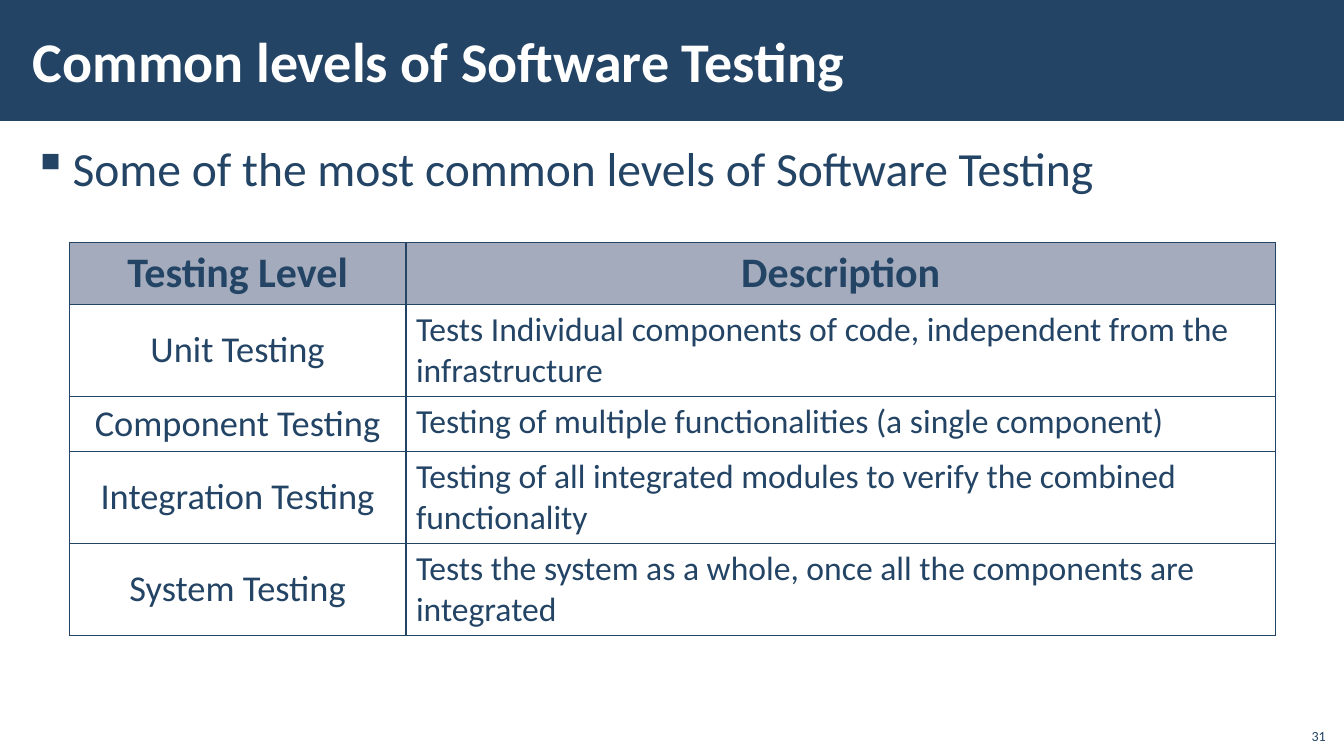
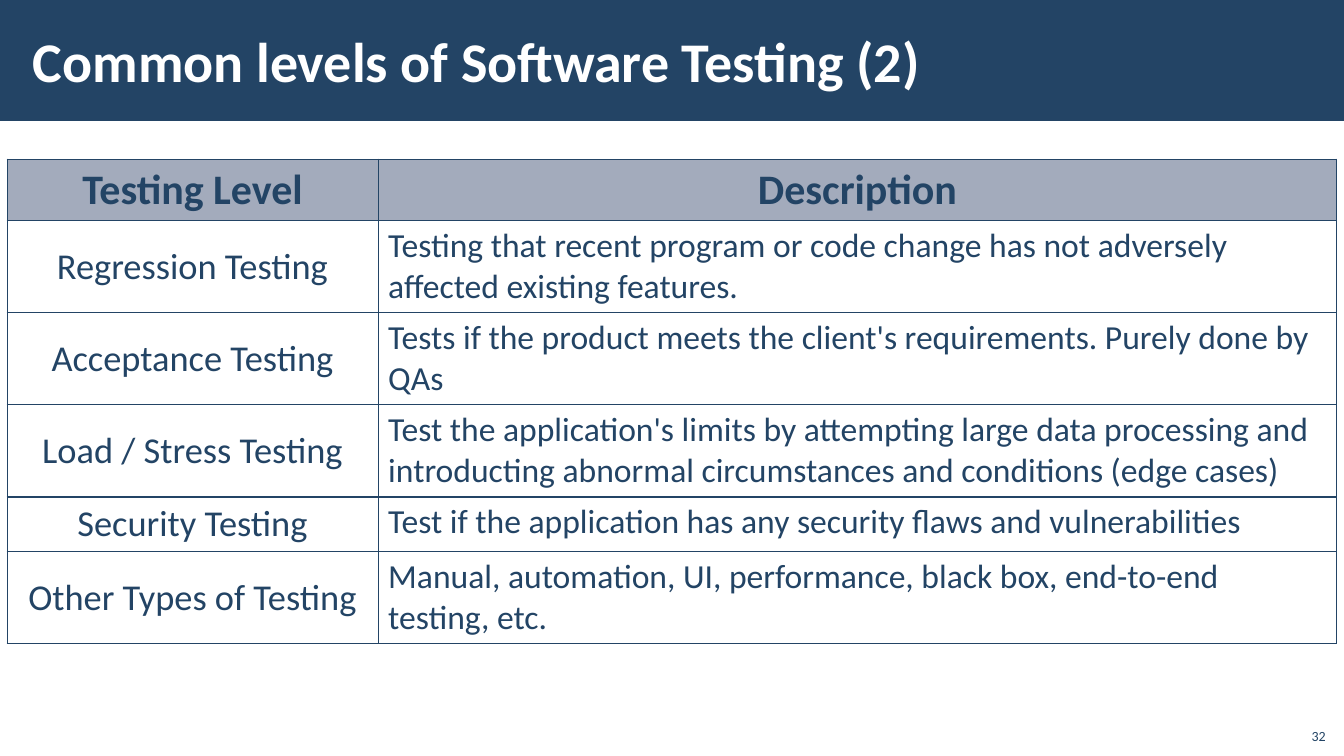
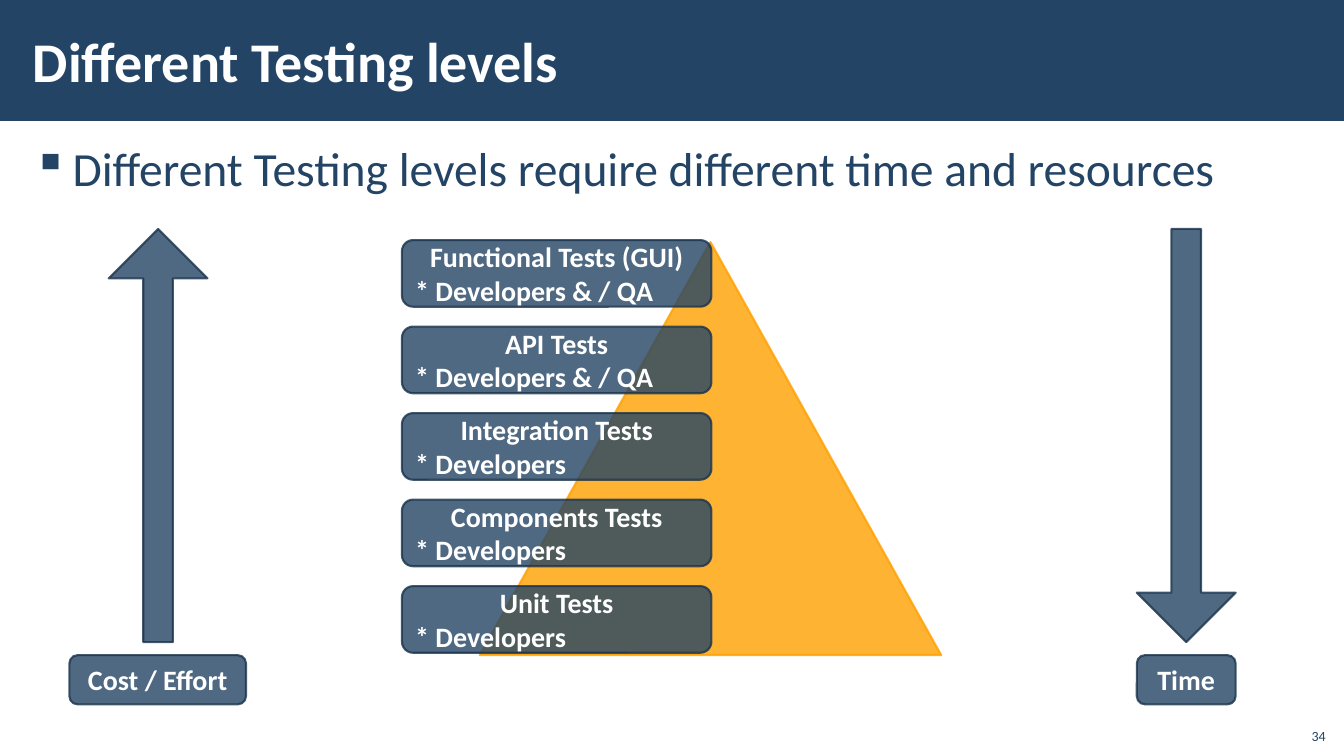
from dataclasses import dataclass

from lxml import etree
from pptx import Presentation
from pptx.dml.color import RGBColor
from pptx.enum import shapes as es
from pptx.enum import text as et
from pptx.oxml.ns import qn
from pptx.util import Cm, Pt

NAVY = RGBColor(0x23, 0x44, 0x65)
DARK_NAVY = RGBColor(0x1A, 0x33, 0x4C)
HEADER_GREY = RGBColor(0xA3, 0xAB, 0xBC)
AMBER = RGBColor(0xFF, 0xA0, 0x00)
WHITE = RGBColor(0xFF, 0xFF, 0xFF)

FONT = "Calibri"
SLIDE_WIDTH, SLIDE_HEIGHT = 33.87, 19.05
HEADER_HEIGHT = 1.55
ROW_HEIGHTS = {1: 1.37, 2: 2.32}
OPACITY = 80

LEFT, CENTER, RIGHT = et.PP_ALIGN.LEFT, et.PP_ALIGN.CENTER, et.PP_ALIGN.RIGHT


@dataclass(frozen=True)
class Box:
    """Place and size in centimetres."""
    left: float
    top: float
    width: float
    height: float

    def lengths(self) -> tuple:
        return Cm(self.left), Cm(self.top), Cm(self.width), Cm(self.height)


@dataclass(frozen=True)
class Style:
    size: int
    color: RGBColor = NAVY
    bold: bool = False


@dataclass(frozen=True)
class Level:
    name: str
    description: str
    lines: int = 2


@dataclass(frozen=True)
class Stage:
    name: str
    owners: str


@dataclass(frozen=True)
class Scale:
    """An arrow with the label that stands below it."""
    label: str
    arrow: es.MSO_SHAPE
    arrow_left: float
    label_left: float
    label_width: float


TITLE_STYLE = Style(40, WHITE, True)
BULLET_STYLE = Style(34)
HEADER_STYLE = Style(30, bold=True)
LEVEL_STYLE = Style(26)
DESCRIPTION_STYLE = Style(24)
LABEL_STYLE = Style(20, WHITE, True)
NUMBER_STYLE = Style(10)

MAIN_LEVELS = [
    Level("Unit Testing",
          "Tests Individual components of code, independent from the infrastructure"),
    Level("Component Testing",
          "Testing of multiple functionalities (a single component)", 1),
    Level("Integration Testing",
          "Testing of all integrated modules to verify the combined functionality"),
    Level("System Testing",
          "Tests the system as a whole, once all the components are integrated"),
]
FURTHER_LEVELS = [
    Level("Regression Testing",
          "Testing that recent program or code change has not adversely "
          "affected existing features."),
    Level("Acceptance Testing",
          "Tests if the product meets the client's requirements. Purely done by QAs"),
    Level("Load / Stress Testing",
          "Test the application's limits by attempting large data processing and\n"
          "introducting abnormal circumstances and conditions (edge cases)"),
    Level("Security Testing",
          "Test if the application has any security flaws and vulnerabilities", 1),
    Level("Other Types of Testing",
          "Manual, automation, UI, performance, black box, end-to-end testing, etc."),
]
STAGES = [
    Stage("Functional Tests (GUI)", "* Developers & / QA"),
    Stage("API Tests", "* Developers & / QA"),
    Stage("Integration Tests", "* Developers"),
    Stage("Components Tests", "* Developers"),
    Stage("Unit Tests", "* Developers"),
]
SCALES = [
    Scale("Cost / Effort", es.MSO_SHAPE.UP_ARROW, 2.74, 1.75, 4.45),
    Scale("Time", es.MSO_SHAPE.DOWN_ARROW, 28.65, 28.65, 2.49),
]


def write(paragraph, wording: str, style: Style, align=LEFT) -> None:
    paragraph.alignment = align
    for index, line in enumerate(wording.split("\n")):
        if index:
            paragraph.add_line_break()
        run = paragraph.add_run()
        run.text = line
        run.font.name = FONT
        run.font.size = Pt(style.size)
        run.font.bold = style.bold
        run.font.color.rgb = style.color


def set_frame(frame, anchor) -> None:
    frame.word_wrap = True
    frame.auto_size = et.MSO_AUTO_SIZE.NONE
    frame.vertical_anchor = anchor


def set_wide_margins(frame) -> None:
    frame.margin_left = frame.margin_right = Cm(0.3)
    frame.margin_top = frame.margin_bottom = Cm(0.1)


def add_shape(shapes, kind, box: Box, fill: RGBColor, line=None):
    """Add a preset shape; one with an outline is see-through."""
    shape = shapes.add_shape(kind, *box.lengths())
    shape.shadow.inherit = False
    shape.fill.solid()
    shape.fill.fore_color.rgb = fill
    if line is None:
        shape.line.fill.background()
        return shape
    shape.line.color.rgb = line
    shape.line.width = Pt(1.5)
    for color in shape.element.spPr.iter(qn("a:srgbClr")):
        etree.SubElement(color, qn("a:alpha"), val=str(OPACITY * 1000))
    return shape


def move_band_to_layout(slide) -> None:
    """Draw the title band and put it behind everything on the shared layout."""
    band = add_shape(slide.shapes, es.MSO_SHAPE.RECTANGLE,
                     Box(0, 0, SLIDE_WIDTH, 3.05), NAVY)
    band.element.xpath(".//p:cNvPr")[0].set("id", "100")
    slide.slide_layout.placeholders[0].element.addprevious(band.element)


def add_titled_slide(prs, title: str, number: int):
    slide = prs.slides.add_slide(prs.slide_layouts[5])
    heading = slide.shapes.title
    heading.left, heading.top, heading.width, heading.height = Box(
        0.53, 0.28, 27, 2.46).lengths()
    set_frame(heading.text_frame, et.MSO_ANCHOR.MIDDLE)
    set_wide_margins(heading.text_frame)
    write(heading.text_frame.paragraphs[0], title, TITLE_STYLE)

    page = slide.shapes.add_textbox(*Box(32.64, 18.08, 1.02, 0.81).lengths())
    set_frame(page.text_frame, et.MSO_ANCHOR.BOTTOM)
    write(page.text_frame.paragraphs[0], str(number), NUMBER_STYLE, RIGHT)
    return slide


def add_bullet(slide, wording: str) -> None:
    body = slide.shapes.add_textbox(*Box(0.53, 3.33, 32.82, 15.37).lengths())
    set_frame(body.text_frame, et.MSO_ANCHOR.TOP)
    set_wide_margins(body.text_frame)
    paragraph = body.text_frame.paragraphs[0]
    write(paragraph, wording, BULLET_STYLE)
    paragraph.line_spacing = 1.05
    paragraph.space_before = paragraph.space_after = Pt(6)
    properties = paragraph._p.get_or_add_pPr()
    properties.set("marL", str(Cm(1)))
    properties.set("indent", str(-Cm(1)))
    etree.SubElement(properties, qn("a:buChar"), char="▪")


def set_borders(cell) -> None:
    properties = cell._tc.get_or_add_tcPr()
    for index, side in enumerate("LRTB"):
        border = etree.Element(qn(f"a:ln{side}"), w=str(Pt(1)))
        fill = etree.SubElement(border, qn("a:solidFill"))
        etree.SubElement(fill, qn("a:srgbClr"), val=str(NAVY))
        properties.insert(index, border)


def fill_cell(cell, wording: str, style: Style, align, anchor, color=None) -> None:
    set_borders(cell)
    if color is None:
        cell.fill.background()
    else:
        cell.fill.solid()
        cell.fill.fore_color.rgb = color
    cell.vertical_anchor = anchor
    write(cell.text_frame.paragraphs[0], wording, style, align)


def add_levels_table(slide, left: float, top: float,
                     widths: tuple[float, float], levels: list[Level]) -> None:
    heights = [HEADER_HEIGHT] + [ROW_HEIGHTS[level.lines] for level in levels]
    box = Box(left, top, sum(widths), sum(heights))
    table = slide.shapes.add_table(len(heights), 2, *box.lengths()).table
    table.first_row = table.horz_banding = False
    for column, width in zip(table.columns, widths):
        column.width = Cm(width)
    for row, height in zip(table.rows, heights):
        row.height = Cm(height)

    for index, header in enumerate(("Testing Level", "Description")):
        fill_cell(table.cell(0, index), header, HEADER_STYLE, CENTER,
                  et.MSO_ANCHOR.TOP, HEADER_GREY)
    for index, level in enumerate(levels, start=1):
        fill_cell(table.cell(index, 0), level.name, LEVEL_STYLE, CENTER,
                  et.MSO_ANCHOR.MIDDLE)
        fill_cell(table.cell(index, 1), level.description, DESCRIPTION_STYLE, LEFT,
                  et.MSO_ANCHOR.TOP)


def add_label(shapes, box: Box, wording: str):
    label = add_shape(shapes, es.MSO_SHAPE.ROUNDED_RECTANGLE, box, NAVY, DARK_NAVY)
    set_frame(label.text_frame, et.MSO_ANCHOR.MIDDLE)
    write(label.text_frame.paragraphs[0], wording, LABEL_STYLE, CENTER)
    return label


def add_pyramid(slide) -> None:
    pyramid = slide.shapes.add_group_shape().shapes
    add_shape(pyramid, es.MSO_SHAPE.ISOSCELES_TRIANGLE,
              Box(12.09, 6.1, 11.63, 10.41), AMBER, AMBER)
    height, gap = 1.68, 0.5
    for index, stage in enumerate(STAGES):
        box = Box(10.13, 6.05 + index * (height + gap), 7.8, height)
        label = add_label(pyramid, box, stage.name)
        write(label.text_frame.add_paragraph(), stage.owners, LABEL_STYLE)


def add_scale(slide, scale: Scale) -> None:
    group = slide.shapes.add_group_shape().shapes
    arrow = add_shape(group, scale.arrow, Box(scale.arrow_left, 5.77, 2.49, 10.41),
                      NAVY, DARK_NAVY)
    arrow.adjustments[0] = 0.3
    arrow.adjustments[1] = 0.5
    add_label(group, Box(scale.label_left, 16.51, scale.label_width, 1.24), scale.label)


def main() -> None:
    prs = Presentation()
    prs.slide_width, prs.slide_height = Cm(SLIDE_WIDTH), Cm(SLIDE_HEIGHT)

    main_levels = add_titled_slide(prs, "Common levels of Software Testing", 31)
    move_band_to_layout(main_levels)
    add_bullet(main_levels, "Some of the most common levels of Software Testing")
    add_levels_table(main_levels, 1.75, 6.12, (8.48, 21.92), MAIN_LEVELS)

    further_levels = add_titled_slide(prs, "Common levels of Software Testing (2)", 32)
    add_levels_table(further_levels, 0.18, 4.01, (9.35, 24.16), FURTHER_LEVELS)

    effort = add_titled_slide(prs, "Different Testing levels", 34)
    add_bullet(effort, "Different Testing levels require different time and resources")
    add_pyramid(effort)
    for scale in SCALES:
        add_scale(effort, scale)

    prs.save("out.pptx")


if __name__ == "__main__":
    main()
